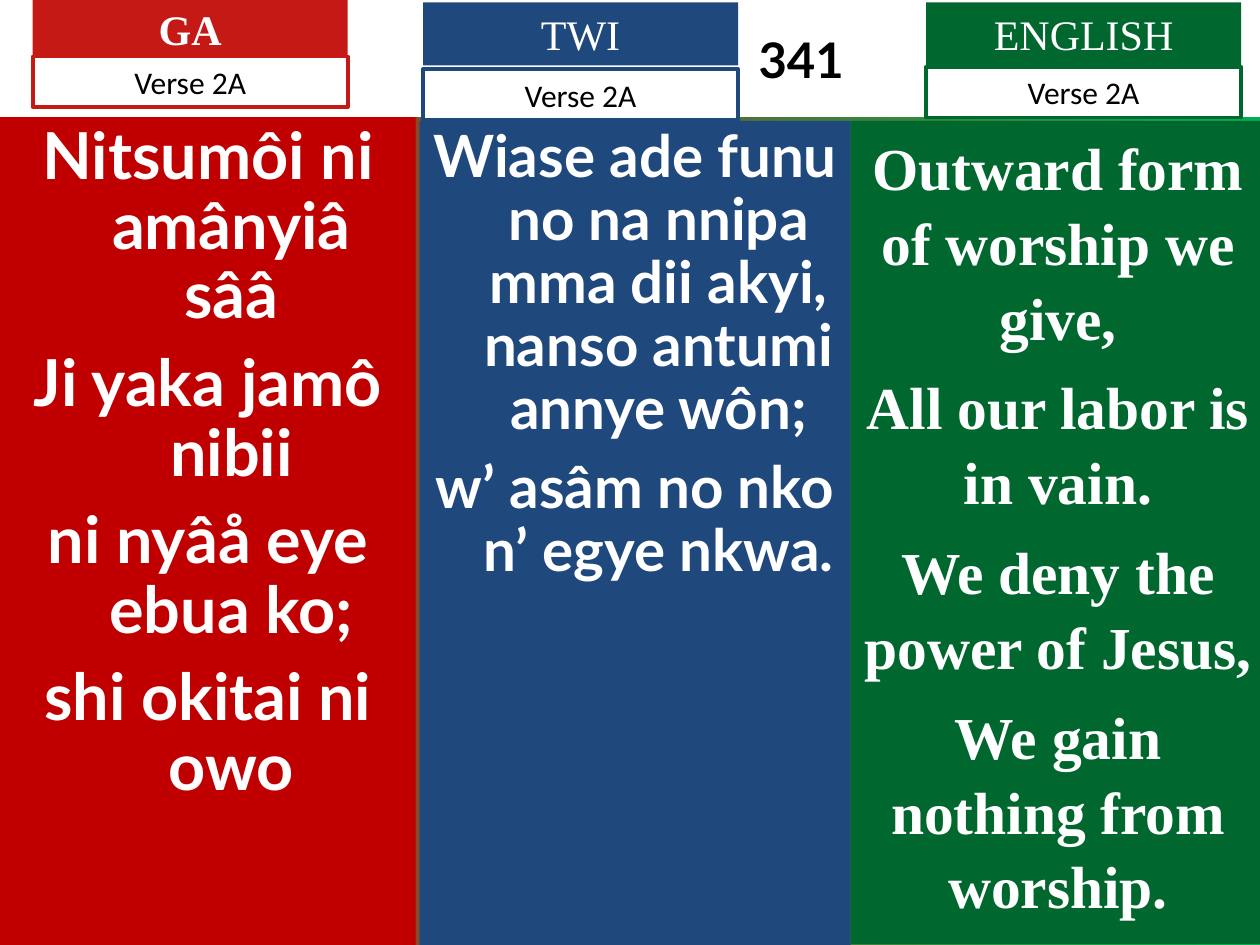
from dataclasses import dataclass

from pptx import Presentation
from pptx import util as u
from pptx.dml.color import RGBColor
from pptx.enum import shapes, text


@dataclass(frozen=True)
class Theme:
    red: str = "C51915"
    deep_red: str = "C00000"
    blue: str = "1F497D"
    green: str = "00682F"
    bright_green: str = "00B050"
    white: str = "FFFFFF"
    black: str = "000000"
    sans: str = "Lato"
    serif: str = "Times New Roman"
    label: str = "Calibri"
    number_size: float = 28
    language_size: float = 24
    verse_size: float = 18


THEME = Theme()
WIDTH, HEIGHT = 25.4, 19.05
BAND_HEIGHT = 2.36
TAB_WIDTH, TAB_HEIGHT, VERSE_HEIGHT = 6.35, 1.27, 1.02
HYMN_NUMBER = "341"
NUMBER_INSET = 6.9

COLUMNS = [
    dict(
        language="GA", verse="Verse 2A", bold=True,
        accent=THEME.red, panel=THEME.deep_red,
        tab=(0.66, -0.05), verse_top=1.14, box=(0, 2.36, 8.38, 16.69),
        font=THEME.sans, size=37, spacing=0.9, before=10, hanging=0.95,
        lines=["Nitsumôi ni amânyiâ sââ", "Ji yaka jamô nibii",
               "ni nyâå eye ebua ko;", "shi okitai ni owo"],
    ),
    dict(
        language="TWI", verse="Verse 2A", bold=False,
        accent=THEME.blue, panel=THEME.blue,
        tab=(8.53, 0.05), verse_top=1.4, box=(8.46, 2.44, 8.69, 16.61),
        font=THEME.sans, size=33.3, spacing=0.9, before=9, hanging=0.95,
        lines=["Wiase ade funu no na nnipa mma dii akyi, nanso antumi annye wôn;",
               "w’ asâm no nko n’ egye nkwa."],
    ),
    dict(
        language="ENGLISH", verse="Verse 2A", bold=False,
        accent=THEME.green, panel=THEME.green,
        tab=(18.67, 0.05), verse_top=1.35, box=(17.15, 2.44, 8.36, 16.59),
        font=THEME.serif, size=34, spacing=1.05, before=8.5, hanging=0,
        lines=["Outward form of worship we give,", "All our labor is in vain.",
               "We deny the power of Jesus,", "We gain nothing from worship."],
    ),
]


def add_block(slide, box, fill, lines, font, size, color, bold=False,
              outline=None, anchor=text.MSO_ANCHOR.TOP, spacing=None,
              before=0, hanging=0):
    block = slide.shapes.add_shape(
        shapes.MSO_SHAPE.RECTANGLE, *(u.Cm(length) for length in box))
    block.shadow.inherit = False
    block.fill.solid()
    block.fill.fore_color.rgb = RGBColor.from_string(fill)
    if outline:
        block.line.color.rgb = RGBColor.from_string(outline)
        block.line.width = u.Pt(2.25)
    else:
        block.line.fill.background()
    frame = block.text_frame
    frame.word_wrap = True
    frame.vertical_anchor = anchor
    for index, line in enumerate(lines):
        paragraph = frame.add_paragraph() if index else frame.paragraphs[0]
        paragraph.text = line
        paragraph.alignment = text.PP_ALIGN.CENTER
        if spacing:
            paragraph.line_spacing = spacing
        if index:
            paragraph.space_before = u.Pt(before)
        if hanging:
            properties = paragraph._p.get_or_add_pPr()
            properties.set("marL", str(u.Cm(hanging)))
            properties.set("indent", str(-u.Cm(hanging)))
        paragraph.font.name = font
        paragraph.font.size = u.Pt(size)
        paragraph.font.bold = bold
        paragraph.font.color.rgb = RGBColor.from_string(color)
    return block


def add_column(slide, column):
    left, top = column["tab"]
    add_block(slide, column["box"], column["panel"], column["lines"],
              column["font"], column["size"], THEME.white, bold=True,
              spacing=column["spacing"], before=column["before"],
              hanging=column["hanging"])
    add_block(slide, (left, top, TAB_WIDTH, TAB_HEIGHT), column["accent"],
              [column["language"]], THEME.serif, THEME.language_size,
              THEME.white, bold=column["bold"])
    add_block(slide, (left, column["verse_top"], TAB_WIDTH, VERSE_HEIGHT),
              THEME.white, [column["verse"]], THEME.label, THEME.verse_size,
              THEME.black, outline=column["accent"])


def main():
    deck = Presentation()
    deck.slide_width, deck.slide_height = u.Cm(WIDTH), u.Cm(HEIGHT)
    slide = deck.slides.add_slide(deck.slide_layouts[6])

    backdrop = slide.background.fill
    backdrop.gradient()
    backdrop.gradient_angle = 0
    for stop, color in zip(backdrop.gradient_stops,
                           (THEME.red, THEME.bright_green)):
        stop.color.rgb = RGBColor.from_string(color)

    band = add_block(slide, (0, 0, WIDTH, BAND_HEIGHT), THEME.white,
                     [HYMN_NUMBER], THEME.sans, THEME.number_size, THEME.black,
                     bold=True, anchor=text.MSO_ANCHOR.MIDDLE)
    band.text_frame.margin_left = u.Cm(NUMBER_INSET)
    band.text_frame.margin_right = 0

    for column in COLUMNS:
        add_column(slide, column)
    deck.save("out.pptx")


if __name__ == "__main__":
    main()
